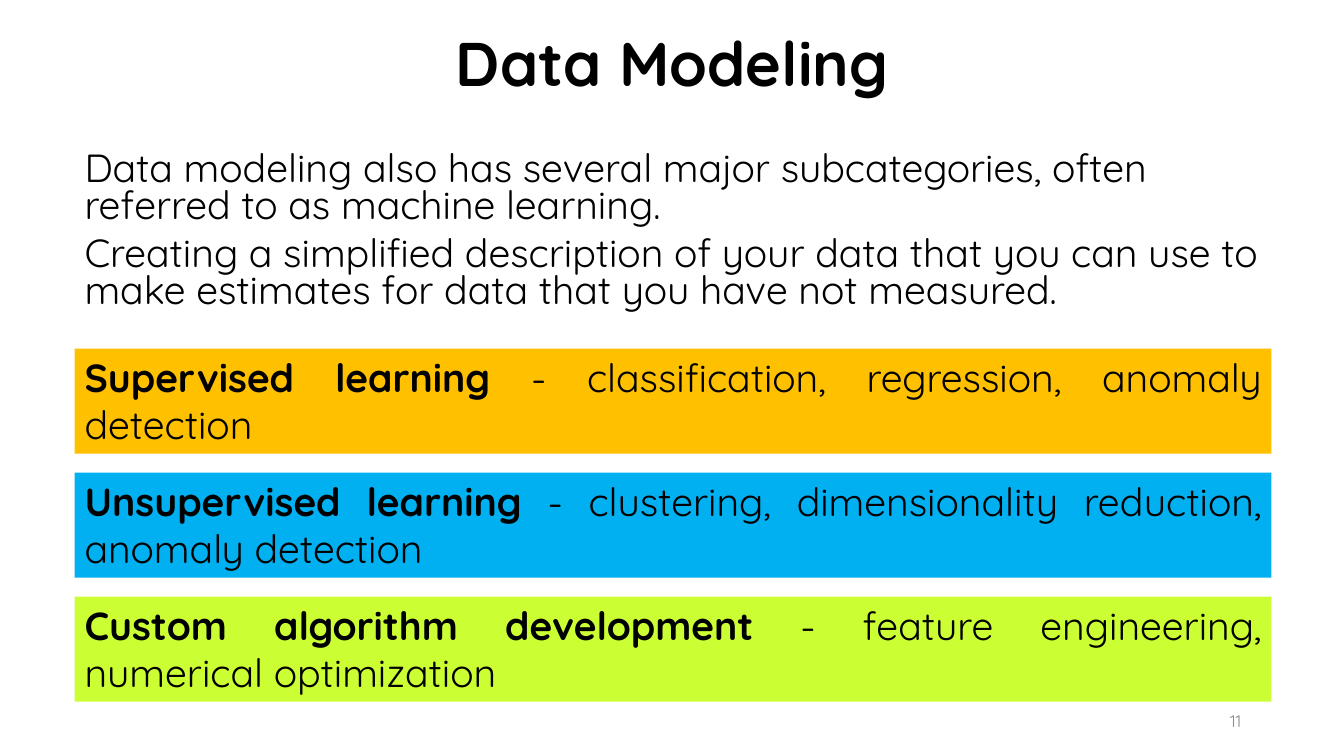
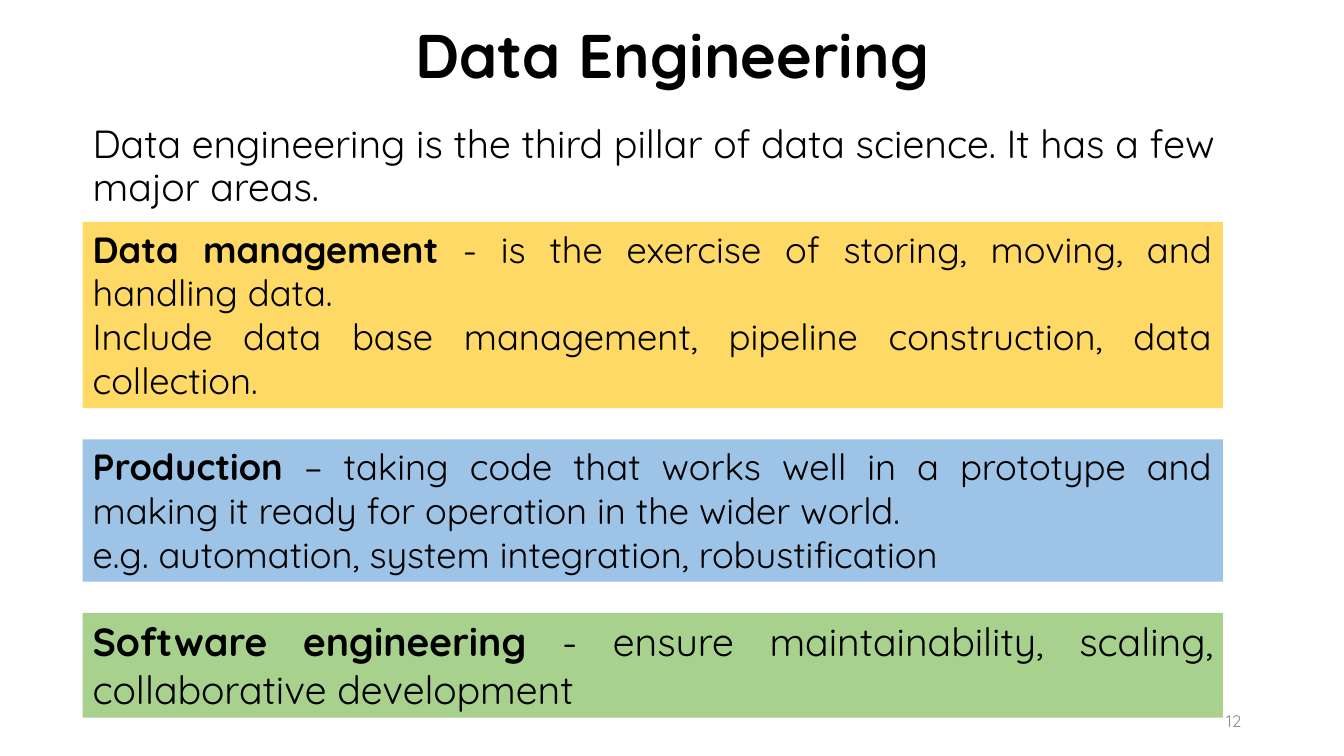
from dataclasses import dataclass
from typing import Any

from pptx import Presentation
from pptx.dml.color import RGBColor
from pptx.enum.shapes import MSO_SHAPE
from pptx.enum.text import MSO_ANCHOR, MSO_AUTO_SIZE, PP_ALIGN
from pptx.util import Inches, Pt

COLORS = {
    "text": "000000",
    "number": "8C8C8C",
    "amber": "FFC000",
    "azure": "00B0F0",
    "lime": "CCFF33",
    "yellow": "FFD966",
    "blue": "9DC3E6",
    "green": "A9D18E",
}
FONT = "Quicksand"
TITLE = {"size": Pt(44), "bold": True}
BODY = {"size": Pt(28), "bold": False}
NUMBER = {"size": Pt(12), "bold": False}


@dataclass(frozen=True)
class Area:
    left: float
    top: float
    width: float
    height: float

    def lengths(self) -> list[int]:
        return [Inches(value) for value in (self.left, self.top, self.width, self.height)]


@dataclass(frozen=True)
class Band:
    color: str
    height: float
    term: str
    lines: tuple[str, ...]
    size: int = 28


@dataclass(frozen=True)
class Topic:
    number: int
    title: str
    title_area: Area
    intro: tuple[str, ...]
    intro_area: Area
    intro_spacing: float
    bands_top: float
    bands_width: float
    bands_gap: float
    bands: tuple[Band, ...]


NUMBER_AREA = Area(8.83, 6.95, 3.58, 0.4)
TOPICS = (
    Topic(
        11, "Data Modeling", Area(0.92, 0.13, 11.5, 0.97),
        (
            "Data modeling also has several major subcategories, often referred to as machine learning.",
            "Creating a simplified description of your data that you can use to make estimates "
            "for data that you have not measured.",
        ),
        Area(0.74, 1.46, 12.03, 1.87), 0.8, 3.46, 11.87, 0.19,
        (
            Band("amber", 1.04, "Supervised learning",
                 (" - classification, regression, anomaly detection",)),
            Band("azure", 1.04, "Unsupervised learning",
                 (" - clustering, dimensionality reduction, anomaly detection",)),
            Band("lime", 1.04, "Custom algorithm development",
                 (" - feature engineering, numerical optimization",)),
        ),
    ),
    Topic(
        12, "Data Engineering", Area(0.92, 0, 11.5, 1.06),
        ("Data engineering is the third pillar of data science. It has a few major areas.",),
        Area(0.82, 1.19, 11.5, 0.96), 0.9, 2.2, 11.31, 0.31,
        (
            Band("yellow", 1.85, "Data management",
                 (" - is the exercise of storing, moving, and handling data.",
                  "Include data base management, pipeline construction, data collection."), 26),
            Band("blue", 1.41, "Production",
                 (" – taking code that works well in a prototype and making it ready "
                  "for operation in the wider world.",
                  "e.g. automation, system integration, robustification"), 26),
            Band("green", 1.04, "Software engineering",
                 (" - ensure maintainability, scaling, collaborative development",)),
        ),
    ),
)


def apply(target: Any, values: dict[str, Any]) -> None:
    for name, value in values.items():
        setattr(target, name, value)


def add_span(para: Any, text: str, style: dict[str, Any], color: str = "text") -> None:
    span = para.add_run()
    span.text = text
    apply(span.font, {"name": FONT, **style})
    span.font.color.rgb = RGBColor.from_string(COLORS[color])


def next_para(frame: Any, index: int) -> Any:
    return frame.add_paragraph() if index else frame.paragraphs[0]


def add_text(page: Any, area: Area, lines: tuple[str, ...], style: dict[str, Any],
             anchor: MSO_ANCHOR, layout: dict[str, Any], color: str = "text") -> None:
    frame = page.shapes.add_textbox(*area.lengths()).text_frame
    apply(frame, {"word_wrap": True, "vertical_anchor": anchor})
    for index, line in enumerate(lines):
        para = next_para(frame, index)
        apply(para, {**layout, "space_before": Pt(7 if index else 0)})
        add_span(para, line, style, color)


def add_band(page: Any, area: Area, band: Band) -> None:
    box = page.shapes.add_shape(MSO_SHAPE.RECTANGLE, *area.lengths())
    box.shadow.inherit = False
    box.fill.solid()
    box.fill.fore_color.rgb = RGBColor.from_string(COLORS[band.color])
    box.line.fill.background()
    frame = box.text_frame
    apply(frame, {"word_wrap": True, "vertical_anchor": MSO_ANCHOR.TOP,
                  "auto_size": MSO_AUTO_SIZE.SHAPE_TO_FIT_TEXT})
    style = {"size": Pt(band.size), "bold": False}
    for index, line in enumerate(band.lines):
        para = next_para(frame, index)
        para.alignment = PP_ALIGN.JUSTIFY
        if index == 0:
            add_span(para, band.term, {**style, "bold": True})
        add_span(para, line, style)


def add_topic(deck: Any, topic: Topic) -> None:
    page = deck.slides.add_slide(deck.slide_layouts[6])
    add_text(page, NUMBER_AREA, (str(topic.number),), NUMBER, MSO_ANCHOR.MIDDLE,
             {"alignment": PP_ALIGN.RIGHT}, "number")
    add_text(page, topic.intro_area, topic.intro, BODY, MSO_ANCHOR.TOP,
             {"alignment": PP_ALIGN.LEFT, "line_spacing": topic.intro_spacing})
    add_text(page, topic.title_area, (topic.title,), TITLE, MSO_ANCHOR.MIDDLE,
             {"alignment": PP_ALIGN.CENTER})
    top = topic.bands_top
    for band in topic.bands:
        add_band(page, Area(topic.intro_area.left, top, topic.bands_width, band.height), band)
        top += band.height + topic.bands_gap


def main() -> None:
    deck = Presentation()
    apply(deck, {"slide_width": Inches(13.33), "slide_height": Inches(7.5)})
    for topic in TOPICS:
        add_topic(deck, topic)
    deck.save("out.pptx")


if __name__ == "__main__":
    main()
